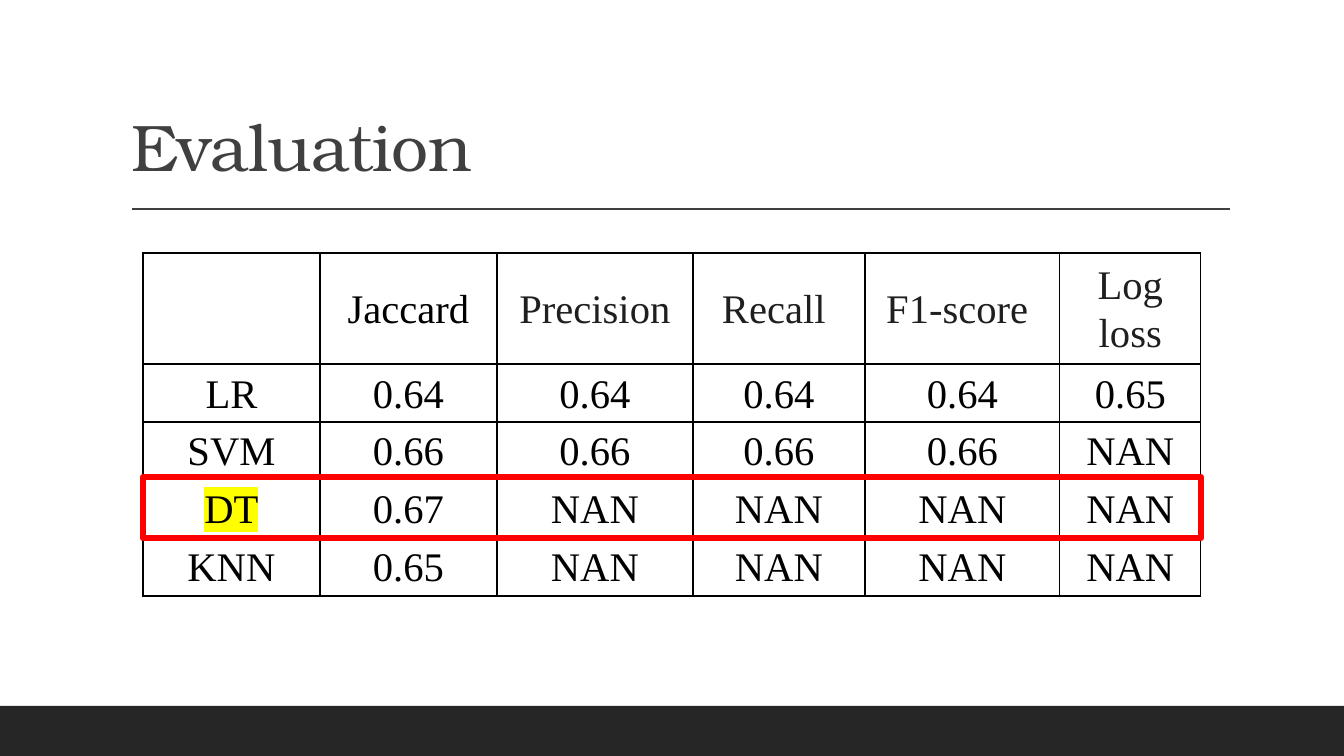
from lxml import etree
from pptx import Presentation
from pptx import util as u
from pptx.dml.color import RGBColor
from pptx.enum import shapes, text
from pptx.oxml import ns

PX_PER_INCH = 100.8
HEADERS = ["", "Jaccard", "Precision", "Recall ", "F1-score ", "Log loss"]
SCORES = [
    ["LR", "0.64", "0.64", "0.64", "0.64", "0.65"],
    ["SVM", "0.66", "0.66", "0.66", "0.66", "NAN"],
    ["DT", "0.67", "NAN", "NAN", "NAN", "NAN"],
    ["KNN", "0.65", "NAN", "NAN", "NAN", "NAN"],
]
COLUMN_WIDTHS = [177, 177, 196, 172, 195, 141]
ROW_HEIGHTS = [111, 58, 57, 58, 59]


def px(*lengths):
    return [u.Emu(round(length * 914400 / PX_PER_INCH)) for length in lengths]


def color(hex_string):
    return RGBColor.from_string(hex_string)


def add_color_element(parent, tag, hex_string):
    element = etree.SubElement(parent, ns.qn(tag))
    etree.SubElement(element, ns.qn("a:srgbClr"), val=hex_string)
    return element


def write(frame, words, *, font, size, ink, align=None, anchor=None,
          line_spacing=1.0, letter_spacing=None, highlight=None):
    frame.word_wrap = True
    paragraph = frame.paragraphs[0]
    paragraph.alignment = align
    paragraph.line_spacing = line_spacing
    if anchor is not None:
        frame.vertical_anchor = anchor
    run = paragraph.add_run()
    run.text = words
    run.font.name = font
    run.font.size = u.Pt(size)
    run.font.color.rgb = color(ink)
    properties = run.font._element
    if letter_spacing is not None:
        properties.set("spc", str(round(letter_spacing * 100)))
    if highlight:
        marker = add_color_element(properties, "a:highlight", highlight)
        properties.find(ns.qn("a:solidFill")).addnext(marker)


class SlideBuilder:
    title_font = "TeX Gyre Bonum"
    body_font = "Times New Roman"
    gray, black, header_ink = "404040", "000000", "1F1F1F"

    def __init__(self, presentation):
        self.slide = presentation.slides.add_slide(presentation.slide_layouts[5])

    def title(self, words, left, top, width, height):
        shape = self.slide.shapes.title
        shape.left, shape.top, shape.width, shape.height = px(left, top, width, height)
        shape.text_frame.auto_size = text.MSO_AUTO_SIZE.NONE
        write(shape.text_frame, words, font=self.title_font, size=47, ink=self.gray,
              align=text.PP_ALIGN.LEFT, anchor=text.MSO_ANCHOR.BOTTOM,
              line_spacing=0.9, letter_spacing=-0.5)

    def rectangle(self, left, top, width, height, fill=None, line=None, line_width=1):
        shape = self.slide.shapes.add_shape(
            shapes.MSO_SHAPE.RECTANGLE, *px(left, top, width, height))
        shape.shadow.inherit = False
        if fill:
            shape.fill.solid()
            shape.fill.fore_color.rgb = color(fill)
        else:
            shape.fill.background()
        if line:
            shape.line.color.rgb = color(line)
            shape.line.width = u.Pt(line_width)
        else:
            shape.line.fill.background()

    def rule(self, left, right, y):
        connector = self.slide.shapes.add_connector(
            shapes.MSO_CONNECTOR.STRAIGHT, *px(left, y, right, y))
        connector.line.color.rgb = color(self.gray)
        connector.line.width = u.Pt(1)
        etree.SubElement(connector._element.spPr, ns.qn("a:effectLst"))

    def table(self, left, top, rows, widths, heights, marked):
        frame = self.slide.shapes.add_table(
            len(rows), len(widths), *px(left, top, sum(widths), sum(heights)))
        table = frame.table
        table.first_row = table.horz_banding = False
        for column, width in zip(table.columns, px(*widths)):
            column.width = width
        for row, height in zip(table.rows, px(*heights)):
            row.height = height
        for row_index, row in enumerate(rows):
            for column_index, words in enumerate(row):
                # The first two headers are black or empty, the others dark gray
                is_gray = row_index == 0 and column_index > 1
                self.cell(table.cell(row_index, column_index), words,
                          self.header_ink if is_gray else self.black,
                          "FFFF00" if words == marked else None)

    def cell(self, cell, words, ink, highlight):
        cell.margin_left = cell.margin_right = u.Inches(0.2)
        cell.margin_top = cell.margin_bottom = 0
        cell.vertical_anchor = text.MSO_ANCHOR.MIDDLE
        properties = cell._tc.get_or_add_tcPr()
        for side in "LRTB":
            border = etree.SubElement(properties, ns.qn(f"a:ln{side}"), w=str(u.Pt(1)))
            add_color_element(border, "a:solidFill", self.black)
        cell.fill.background()
        if words:
            write(cell.text_frame, words, font=self.body_font, size=29, ink=ink,
                  align=text.PP_ALIGN.CENTER, line_spacing=1.07, highlight=highlight)


def main():
    presentation = Presentation()
    presentation.slide_width, presentation.slide_height = px(1344, 756)
    builder = SlideBuilder(presentation)

    # Footer band, title and rule
    builder.rectangle(0, 706, 1344, 50, fill="262626")
    builder.title("Evaluation", 121, 31, 1109, 160)
    builder.rule(132, 1230, 209)

    # Scores, with the best model framed
    builder.table(143, 253, [HEADERS] + SCORES, COLUMN_WIDTHS, ROW_HEIGHTS, marked="DT")
    builder.rectangle(143, 477, sum(COLUMN_WIDTHS), 61, line="FF0000", line_width=4.5)

    presentation.save("out.pptx")


if __name__ == "__main__":
    main()
